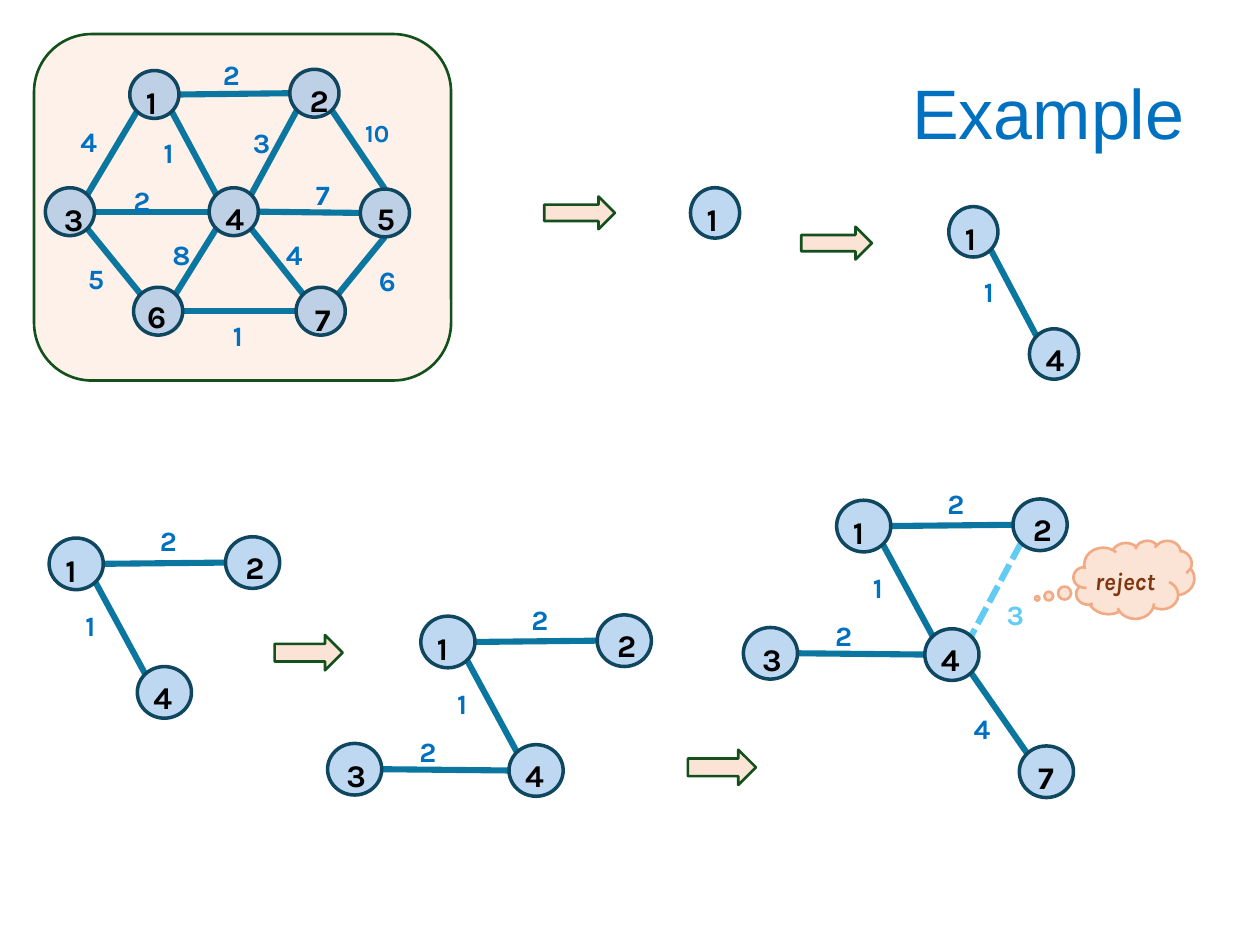
from dataclasses import dataclass
from math import atan2, cos, pi, sin

from lxml.etree import SubElement
from pptx import Presentation
from pptx.dml.color import RGBColor as Rgb
from pptx.enum.dml import MSO_LINE as Dash
from pptx.enum.shapes import MSO_CONNECTOR as Link, MSO_SHAPE as Kind
from pptx.enum.text import MSO_ANCHOR as Anchor, MSO_AUTO_SIZE as Fit, PP_ALIGN as Align
from pptx.oxml.ns import qn
from pptx.util import Inches, Pt


@dataclass(frozen=True)
class Theme:
    head: str = "Arial"
    body: str = "Karla"
    blue: str = "0070C0"
    node: str = "71AAE0"
    rim: str = "104760"
    edge: str = "0B76A0"
    pale: str = "61CBF4"
    peach: str = "FBE3D6"
    green: str = "13501B"
    coral: str = "F2AA84"
    brown: str = "80350E"
    black: str = "000000"
    title: int = 40
    name: int = 18
    cost: int = 16
    small: int = 14


T = Theme()

TEXT_AT = {
    "1": (0.03, 0.05), "2": (0.06, 0.04), "3": (0.05, 0.05), "4": (0.03, 0.04),
    "5": (0.03, 0.03), "6": (0.01, 0.03), "7": (0.05, 0.05),
}

FULL = {
    "1": (0.76, 0.29), "2": (2.03, 0.28), "3": (0.09, 1.22), "4": (1.39, 1.22),
    "5": (2.59, 1.23), "6": (0.79, 2.01), "7": (2.08, 2.01),
}
FULL_EDGES = [
    ("1", "2", "2", (1.4, 0.14)), ("1", "3", "4", (0.27, 0.67)),
    ("1", "4", "1", (0.93, 0.76)), ("2", "4", "3", (1.64, 0.68)),
    ("2", "5", "10", (2.53, 0.62)), ("3", "4", "2", (0.69, 1.14)),
    ("4", "5", "7", (2.14, 1.09)), ("3", "6", "5", (0.33, 1.76)),
    ("4", "6", "8", (1, 1.57)), ("4", "7", "4", (1.9, 1.57)),
    ("5", "7", "6", (2.64, 1.77)), ("6", "7", "1", (1.48, 2.21)),
]

PAIR = {"1": (0, 0), "4": (0.64, 0.97)}
PAIR_EDGES = [("1", "4", "1", (0.18, 0.49))]

TREE = {
    "1": (0, 0.01), "2": (1.4, 0), "4": (0.7, 1.03),
    "3": (-0.74, 1.02), "7": (1.45, 1.96),
}
TREE_EDGES = [
    ("1", "4", "1", (0.19, 0.52)), ("1", "2", "2", (0.78, -0.15)),
    ("3", "4", "2", (-0.11, 0.9)), ("4", "7", "4", (0.99, 1.64)),
]
CUT_EDGES = [("2", "4", "3", (1.25, 0.73))]


def place(box):
    return [Inches(n) for n in box]


def style(run, font, size, color, bold=True):
    run.font.name, run.font.size, run.font.bold = font, Pt(size), bold
    run.font.color.rgb = Rgb.from_string(color)


def paint(shape, fill, line, width, alpha=100):
    shape.shadow.inherit = False
    shape.fill.solid()
    shape.fill.fore_color.rgb = Rgb.from_string(fill)
    shape.line.color.rgb = Rgb.from_string(line)
    shape.line.width = Pt(width)
    if alpha < 100:
        color = shape.element.spPr.find(qn("a:solidFill"))[0]
        SubElement(color, qn("a:alpha")).set("val", str(alpha * 1000))


def write(shapes, box, text, size, color, after=6, slant=None):
    label = shapes.add_textbox(*place(box))
    frame = label.text_frame
    frame.word_wrap = True
    frame.auto_size = Fit.SHAPE_TO_FIT_TEXT
    para = frame.paragraphs[0]
    para.space_after = Pt(after)
    run = para.add_run()
    run.text = text
    style(run, T.body, size, color)
    run.font.italic = slant


def rim_point(box, name, goal):
    left, top, wide, high = box
    step = pi / 2 if name == "5" else pi / 4
    turn = round(atan2(goal[1] - top, goal[0] - left) / step) * step
    return left + wide / 2 * (1 + cos(turn)), top + high / 2 * (1 + sin(turn))


def draw_edge(shapes, start, end, color, dash):
    line = shapes.add_connector(Link.STRAIGHT, *place(start + end))
    line.line.color.rgb = Rgb.from_string(color)
    line.line.width = Pt(3.5)
    if dash:
        line.line.dash_style = dash
    SubElement(line.element.spPr, qn("a:effectLst"))


def draw_graph(shapes, box, nodes, edges, cuts=()):
    left, top, wide, high = box
    spots = {n: (left + x, top + y, wide, high) for n, (x, y) in nodes.items()}
    for group, color, dash in ((edges, T.edge, None), (cuts, T.pale, Dash.SQUARE_DOT)):
        for a, b, _, _ in group:
            start = rim_point(spots[a], a, spots[b])
            end = rim_point(spots[b], b, spots[a])
            draw_edge(shapes, start, end, color, dash)
    for name, spot in spots.items():
        paint(shapes.add_shape(Kind.OVAL, *place(spot)), T.node, T.rim, 2, 45)
        x, y = TEXT_AT[name]
        write(shapes, (spot[0] + x, spot[1] + y, 0.34, 0.29), name, T.name, T.black)
    for group, color in ((edges, T.blue), (cuts, T.pale)):
        for _, _, cost, (x, y) in group:
            size, span = (T.small, 0.51) if len(cost) > 1 else (T.cost, 0.36)
            write(shapes, (left + x, top + y, span, 0.33), cost, size, color)


def draw_tree(slide, box, names, cuts=()):
    nodes = {n: TREE[n] for n in names}
    edges = [e for e in TREE_EDGES if e[0] in nodes and e[1] in nodes]
    draw_graph(slide.shapes.add_group_shape().shapes, box, nodes, edges, cuts)


def draw_full(slide, box):
    shapes = slide.shapes.add_group_shape().shapes
    panel = shapes.add_shape(Kind.ROUNDED_RECTANGLE, *place(box))
    paint(panel, T.peach, T.green, 1.5, 49)
    draw_graph(shapes, (*box[:2], 0.39, 0.38), FULL, FULL_EDGES)


def draw_arrow(slide, box):
    paint(slide.shapes.add_shape(Kind.RIGHT_ARROW, *place(box)), T.peach, T.green, 1.5)


def draw_cloud(slide, box):
    left, top, wide, high = box
    shapes = slide.shapes.add_group_shape().shapes
    cloud = shapes.add_shape(Kind.CLOUD_CALLOUT, *place(box))
    cloud.adjustments[0], cloud.adjustments[1] = -0.8, 0.24
    paint(cloud, T.peach, T.coral, 1.5)
    spot = (left + 0.07, top + 0.15, 0.79, 0.34)
    write(shapes, spot, "reject", T.small, T.brown, 0, True)


def draw_title(slide, box):
    title = slide.shapes.title
    title.left, title.top, title.width, title.height = place(box)
    frame = title.text_frame
    frame.vertical_anchor = Anchor.MIDDLE
    para = frame.paragraphs[0]
    para.alignment = Align.RIGHT
    para.line_spacing = 0.9
    run = para.add_run()
    run.text = "Example"
    style(run, T.head, T.title, T.blue, False)


def main():
    deck = Presentation()
    deck.slide_width, deck.slide_height = Inches(10), Inches(7.5)
    slide = deck.slides.add_slide(deck.slide_layouts[5])
    draw_title(slide, (6.44, 0.3, 3.06, 1.25))
    draw_full(slide, (0.27, 0.27, 3.31, 2.75))
    for box, nodes, edges in (
        ((5.48, 1.49, 0.39, 0.4), {"1": (0, 0)}, []),
        ((7.53, 1.64, 0.39, 0.4), PAIR, PAIR_EDGES),
    ):
        draw_graph(slide.shapes.add_group_shape().shapes, box, nodes, edges)
    draw_tree(slide, (0.39, 4.26, 0.43, 0.41), "124")
    draw_tree(slide, (3.34, 4.88, 0.43, 0.41), "1234")
    draw_tree(slide, (6.64, 3.96, 0.43, 0.41), "12347", CUT_EDGES)
    draw_cloud(slide, (8.52, 4.29, 0.96, 0.62))
    for spot in ((4.32, 1.56), (6.36, 1.8)):
        draw_arrow(slide, (*spot, 0.56, 0.26))
    for spot in ((2.18, 5.04), (5.46, 5.95)):
        draw_arrow(slide, (*spot, 0.54, 0.28))
    deck.save("out.pptx")


if __name__ == "__main__":
    main()
